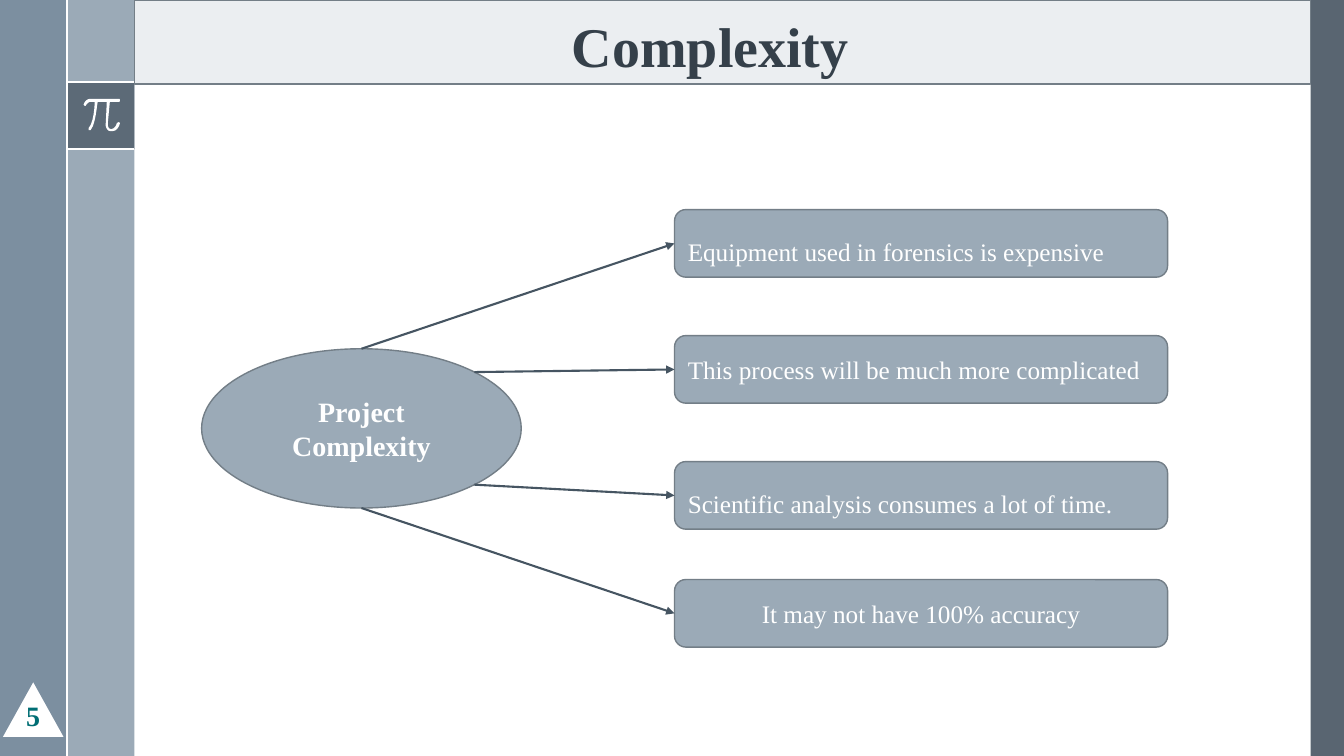
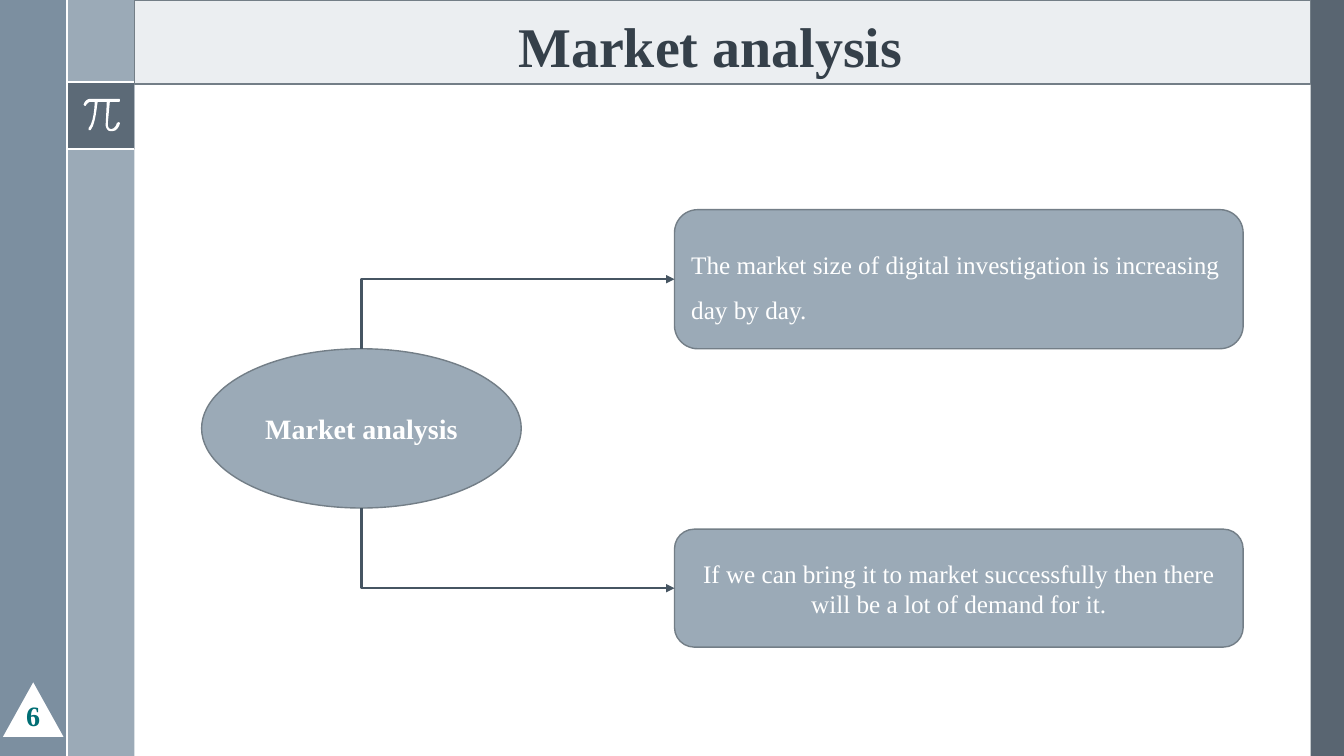
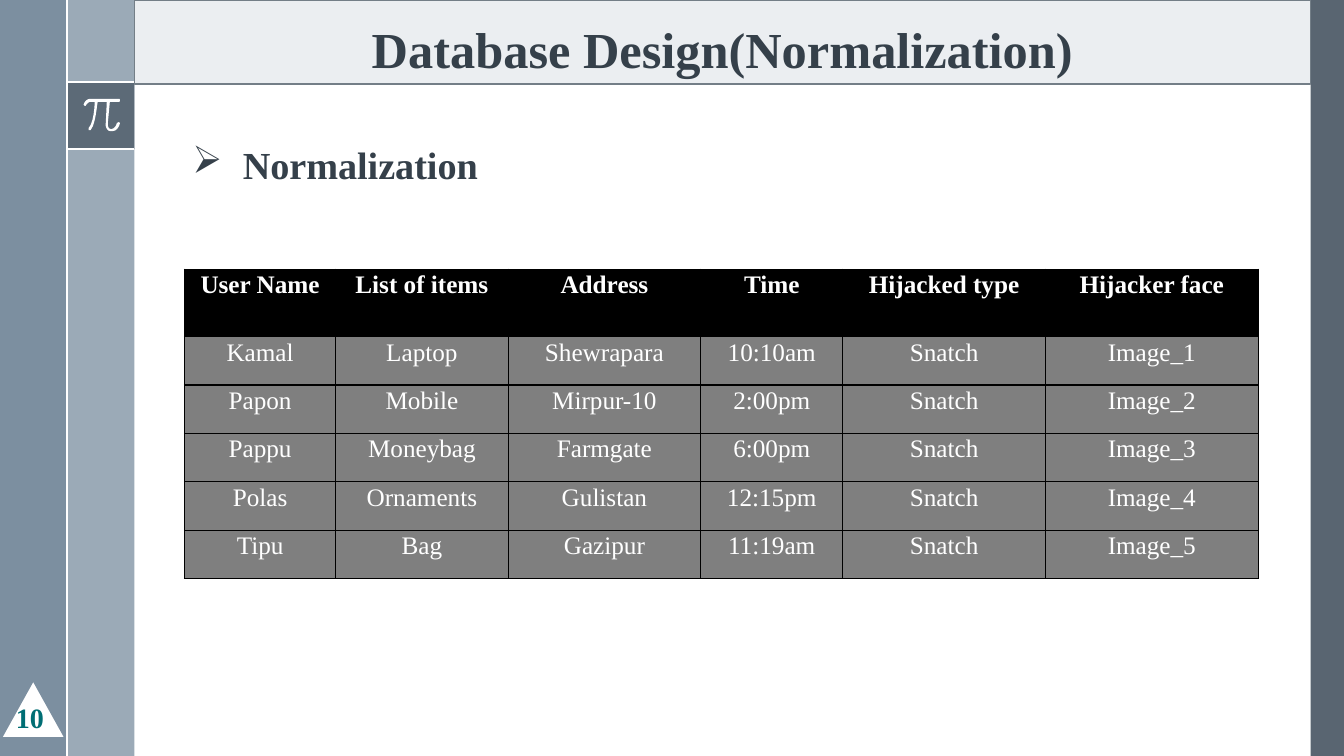
"""Build three project slides: two diagrams and a normalization table."""
from math import cos, radians, sin

from lxml.etree import SubElement
from pptx import Presentation
from pptx.dml.color import RGBColor
from pptx.enum.shapes import MSO_CONNECTOR, MSO_SHAPE
from pptx.enum.text import MSO_ANCHOR, MSO_AUTO_SIZE, PP_ALIGN
from pptx.oxml.ns import qn
from pptx.util import Inches, Pt

W, H = 13.33, 7.5
UNIT = W / 20
RIGHT = 13
BAND_H = H / 9
PI_BOX = (UNIT, 0.81, UNIT, UNIT)

THEME = {
    "font": "Times New Roman",
    "color": {
        "white": "FFFFFF", "black": "000000", "steel": "9BAAB7", "slate": "6A8093",
        "dark": "475562", "band": "EBEEF1", "edge": "737E87", "title": "35404A",
        "number": "006E74", "arrow": "465562", "cell": "7F7F7F",
    },
    "size": {"title": 40, "long_title": 36, "heading": 27.3, "label": 20, "body": 18},
}

LEFT, CENTER = PP_ALIGN.LEFT, PP_ALIGN.CENTER
OVAL = (2, 3.46, 3.17, 1.58)
BOX_LEFT = 6.69

SLIDES = [
    {"title": "Complexity", "title_at": (4.63, 0.01, 4.83, BAND_H), "title_size": "title",
     "number": "5", "number_at": (0.16, 6.83, 0.39, 0.36),
     "oval": "Project Complexity", "route": MSO_CONNECTOR.STRAIGHT, "box_w": 4.89,
     "boxes": [
         ("Equipment used in forensics is expensive", 2.08, 0.67, LEFT, 1.5, -90),
         ("This process will be much more complicated", 3.33, 0.67, LEFT, 1, -45),
         ("Scientific analysis consumes a lot of time.", 4.58, 0.67, LEFT, 1.5, 45),
         ("It may not have 100% accuracy", 5.75, 0.67, CENTER, 1, 90)]},
    {"title": "Market analysis", "title_at": (4.63, 0.01, 4.83, BAND_H), "title_size": "title",
     "number": "6", "number_at": (0.16, 6.83, 0.39, 0.36),
     "oval": "Market analysis", "route": MSO_CONNECTOR.ELBOW, "box_w": 5.64,
     "boxes": [
         ("The market size of digital investigation is increasing day by day.",
          2.08, 1.38, LEFT, 1.5, -90),
         ("If we can bring it to market successfully then there will be a lot of demand for it.",
          5.25, 1.17, CENTER, 1, 90)]},
    {"title": "Database Design(Normalization)", "title_at": (3.25, 0, 7.83, BAND_H),
     "title_size": "long_title", "number": "10", "number_at": (0.06, 6.85, 0.6, 0.48),
     "heading": "Normalization",
     "cols": [1.5, 1.71, 1.91, 1.41, 2.01, 2.11],
     "rows": [
         ("User Name", "List of items", "Address", "Time", "Hijacked type", "Hijacker face"),
         ("Kamal", "Laptop", "Shewrapara", "10:10am", "Snatch", "Image_1"),
         ("Papon", "Mobile", "Mirpur-10", "2:00pm", "Snatch", "Image_2"),
         ("Pappu", "Moneybag", "Farmgate", "6:00pm", "Snatch", "Image_3"),
         ("Polas", "Ornaments", "Gulistan", "12:15pm", "Snatch", "Image_4"),
         ("Tipu", "Bag", "Gazipur", "11:19am", "Snatch", "Image_5")]},
]

PI_START = (1.18, 0.98)
PI_STEPS = [
    (0.9, 0.98), (0.85, 0.98, 0.83, 1.03, 0.83, 1.04), (0.84, 1.05), (0.85, 1.05),
    (0.85, 1.05, 0.87, 1.01, 0.9, 1.01), (0.94, 1.01),
    (0.94, 1.05, 0.93, 1.22, 0.88, 1.27), (0.88, 1.29), (0.9, 1.29),
    (0.95, 1.23, 0.96, 1.05, 0.97, 1.01), (1.06, 1.01), (1.05, 1.22),
    (1.05, 1.22, 1.04, 1.26, 1.07, 1.29), (1.08, 1.3, 1.09, 1.3, 1.1, 1.3), (1.12, 1.3),
    (1.17, 1.3, 1.19, 1.23, 1.19, 1.22), (1.18, 1.21), (1.16, 1.22),
    (1.16, 1.22, 1.15, 1.27, 1.11, 1.28), (1.1, 1.28, 1.09, 1.28, 1.08, 1.27),
    (1.07, 1.26, 1.07, 1.23, 1.07, 1.22), (1.09, 1.01), (1.18, 1.01),
    (1.19, 1.01, 1.19, 1, 1.19, 1), (1.19, 0.99, 1.19, 0.98, 1.18, 0.98),
]


def rgb(name):
    """Return a theme colour."""
    return RGBColor.from_string(THEME["color"][name])


def emu(values):
    """Convert inches to whole units."""
    return [Inches(v) for v in values]


def apply(obj, values):
    """Set attributes from a dict."""
    for name, value in values.items():
        setattr(obj, name, value)


def write(tf, text, size, color, bold=False, para=None, **frame):
    """Put one formatted paragraph in a text frame."""
    apply(tf, {"word_wrap": True, **frame})
    p = tf.paragraphs[0]
    apply(p, para or {})
    r = p.add_run()
    r.text = text
    apply(r.font, {"name": THEME["font"], "size": Pt(THEME["size"][size]), "bold": bold})
    r.font.color.rgb = rgb(color)
    return p


def paint(sp, fill, edge=None, alpha=None):
    """Fill and outline a shape."""
    sp.shadow.inherit = False
    sp.fill.solid()
    sp.fill.fore_color.rgb = rgb(fill)
    if alpha:
        clr = sp.element.xpath("./p:spPr/a:solidFill/a:srgbClr")[0]
        SubElement(clr, qn("a:alpha")).set("val", str(alpha * 1000))
    if edge:
        sp.line.color.rgb = rgb(edge)
        sp.line.width = Pt(1)
    else:
        sp.line.fill.background()
    return sp


def add_shape(s, kind, at, fill, edge=None, alpha=None):
    """Add a painted preset shape."""
    return paint(s.shapes.add_shape(kind, *emu(at)), fill, edge, alpha)


def add_line(s, start, end, color, route=MSO_CONNECTOR.STRAIGHT):
    """Add a plain connector."""
    ln = s.shapes.add_connector(route, *emu(start + end))
    ln.line.color.rgb = rgb(color)
    ln.line.width = Pt(1.5)
    SubElement(ln.element.spPr, qn("a:effectLst"))
    return ln


def add_arrow(s, box_point, oval_point, route):
    """Add a connector whose arrowhead meets the box."""
    ln = add_line(s, box_point, oval_point, "arrow", route)
    SubElement(ln.line._get_or_add_ln(), qn("a:headEnd")).set("type", "triangle")
    if route == MSO_CONNECTOR.ELBOW:
        ln.element.spPr.find(qn("a:prstGeom")).set("prst", "bentConnector2")


def pi_points(samples=6):
    """Trace the pi outline, sampling each cubic curve."""
    points, (x0, y0) = [], PI_START
    for step in PI_STEPS:
        if len(step) == 2:
            points.append(step)
        else:
            x1, y1, x2, y2, x3, y3 = step
            for t in (i / samples for i in range(1, samples + 1)):
                k = ((1 - t) ** 3, 3 * t * (1 - t) ** 2, 3 * t * t * (1 - t), t ** 3)
                points.append(tuple(sum(a * b for a, b in zip(k, axis))
                                    for axis in ((x0, x1, x2, x3), (y0, y1, y2, y3))))
        x0, y0 = step[-2:]
    return points


def build_layout(s, layout):
    """Draw the shared frame and keep it on the layout."""
    for ph in list(layout.placeholders)[1:]:
        ph.element.getparent().remove(ph.element)
    rect = MSO_SHAPE.RECTANGLE
    parts = [add_shape(s, rect, *look) for look in (
        ((RIGHT, 0, W - RIGHT, H), "dark", None, 90),
        ((UNIT, 0, UNIT, H), "steel"),
        ((0, 0, UNIT, H), "slate", None, 88),
        (PI_BOX, "dark", None, 75))]
    left, top, width, height = PI_BOX
    parts += [add_line(s, (left, y), (left + width, y), "white") for y in (top, top + height)]
    pen = s.shapes.build_freeform(*emu(PI_START))
    pen.add_line_segments([emu(point) for point in pi_points()], close=True)
    parts.append(paint(pen.convert_to_shape(), "white"))
    parts.append(add_line(s, (UNIT, 0), (UNIT, H), "white"))
    parts.append(add_shape(s, rect, (2 * UNIT, 0, RIGHT - 2 * UNIT, BAND_H), "band", "edge"))
    parts.append(add_shape(s, MSO_SHAPE.ISOSCELES_TRIANGLE, (0.03, 6.77, 0.6, 0.54), "white"))
    for sp in parts:
        layout.shapes.element.append(sp.element)


def add_heading(s, data):
    """Fill the title placeholder and the slide number."""
    title = s.shapes.title
    apply(title, dict(zip(("left", "top", "width", "height"), emu(data["title_at"]))))
    write(title.text_frame, data["title"], data["title_size"], "title", True,
          {"alignment": CENTER, "line_spacing": 0.9},
          vertical_anchor=MSO_ANCHOR.BOTTOM, auto_size=MSO_AUTO_SIZE.NONE)
    number = s.shapes.add_textbox(*emu(data["number_at"]))
    inset = {f"margin_{side}": Inches(0.1) for side in ("left", "top", "right", "bottom")}
    write(number.text_frame, data["number"], "label", "number", True, **inset)


def add_diagram(s, data):
    """Draw the oval, its boxes and the arrows between them."""
    left, top, width, height = OVAL
    oval = add_shape(s, MSO_SHAPE.OVAL, OVAL, "steel", "edge")
    write(oval.text_frame, data["oval"], "label", "white", True,
          {"alignment": CENTER}, vertical_anchor=MSO_ANCHOR.MIDDLE)
    for text, y, h, align, spacing, angle in data["boxes"]:
        box = add_shape(s, MSO_SHAPE.ROUNDED_RECTANGLE, (BOX_LEFT, y, data["box_w"], h),
                        "steel", "edge")
        write(box.text_frame, text, "body", "white",
              para={"alignment": align, "line_spacing": spacing},
              vertical_anchor=MSO_ANCHOR.MIDDLE)
        a = radians(angle)
        rim = (left + width / 2 * (1 + cos(a)), top + height / 2 * (1 + sin(a)))
        add_arrow(s, (BOX_LEFT, y + h / 2), rim, data["route"])


def add_borders(cell):
    """Give a table cell thin black borders."""
    tc_pr = cell._tc.get_or_add_tcPr()
    for side in "LRTB":
        ln = SubElement(tc_pr, qn(f"a:ln{side}"), w=str(Pt(1)))
        fill = SubElement(ln, qn("a:solidFill"))
        SubElement(fill, qn("a:srgbClr"), val=THEME["color"]["black"])


def add_records(s, data):
    """Add the bulleted heading and the table."""
    rows, cols = data["rows"], data["cols"]
    heights = [0.67] + [0.48] * (len(rows) - 1)
    table = s.shapes.add_table(len(rows), len(cols),
                               *emu((1.83, 2.67, sum(cols), sum(heights)))).table
    for col, width in zip(table.columns, cols):
        col.width = Inches(width)
    for i, (row, height) in enumerate(zip(rows, heights)):
        table.rows[i].height = Inches(height)
        for j, text in enumerate(row):
            cell = table.cell(i, j)
            apply(cell, {"margin_left": Inches(0.07), "margin_right": Inches(0.07),
                         "margin_top": 0, "margin_bottom": 0})
            add_borders(cell)
            cell.fill.solid()
            cell.fill.fore_color.rgb = rgb("cell" if i else "black")
            write(cell.text_frame, text, "body", "white", i == 0,
                  {"alignment": CENTER, "line_spacing": 1.07})
    heading = s.shapes.add_textbox(*emu((1.81, 1.08, 5.67, BAND_H)))
    p = write(heading.text_frame, data["heading"], "heading", "title", True,
              {"line_spacing": 0.9}, vertical_anchor=MSO_ANCHOR.BOTTOM)
    p_pr = p._p.get_or_add_pPr()
    apply_indent = {"marL": Inches(0.5), "indent": -Inches(0.5)}
    for name, value in apply_indent.items():
        p_pr.set(name, str(value))
    SubElement(p_pr, qn("a:buChar"), char="➢")


def main():
    """Build and save the deck."""
    prs = Presentation()
    prs.slide_width, prs.slide_height = emu((W, H))
    layout = prs.slide_layouts[5]
    slides = [prs.slides.add_slide(layout) for _ in SLIDES]
    build_layout(slides[0], layout)
    for s, data in zip(slides, SLIDES):
        add_heading(s, data)
        if "boxes" in data:
            add_diagram(s, data)
        else:
            add_records(s, data)
    prs.save("out.pptx")


if __name__ == "__main__":
    main()
